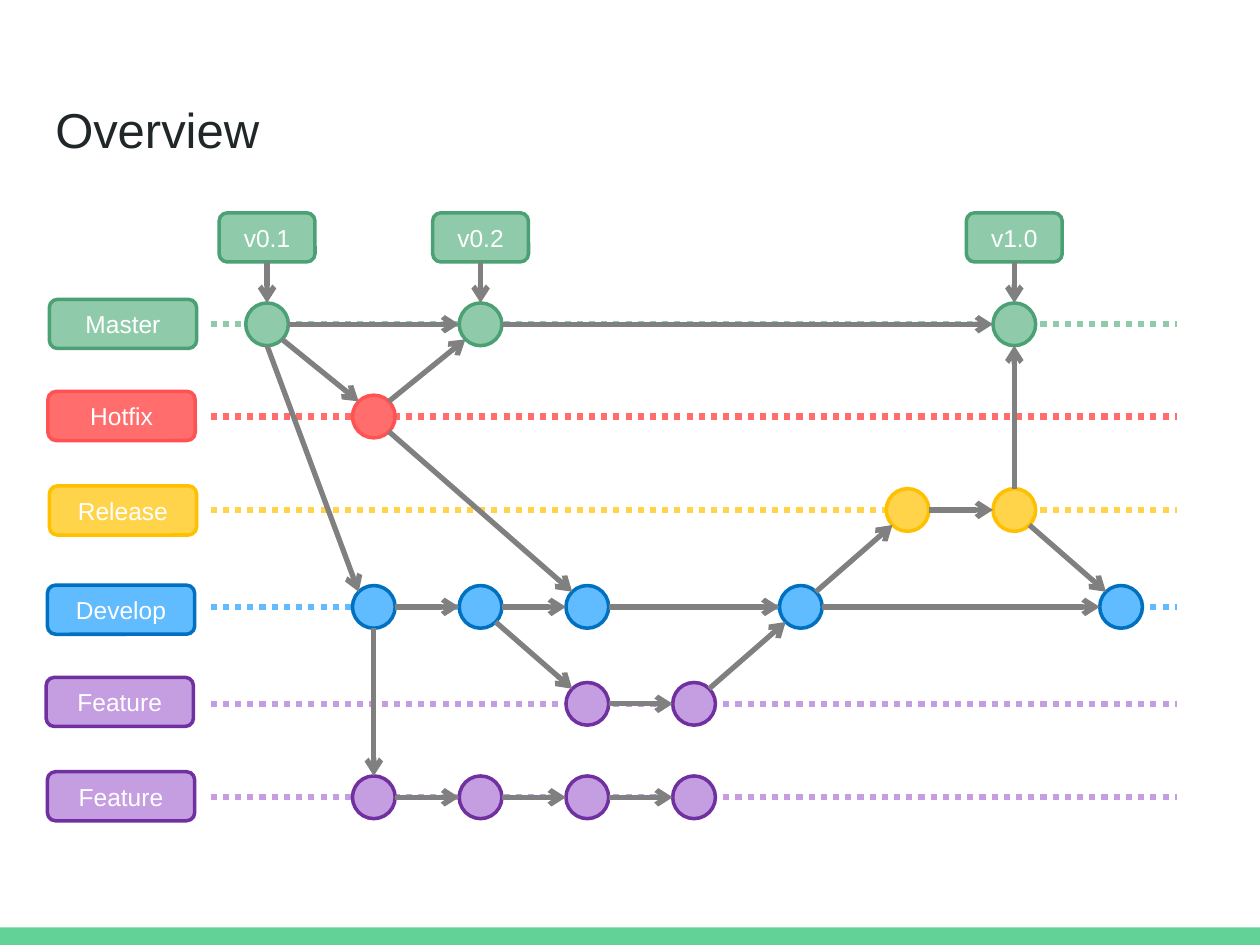
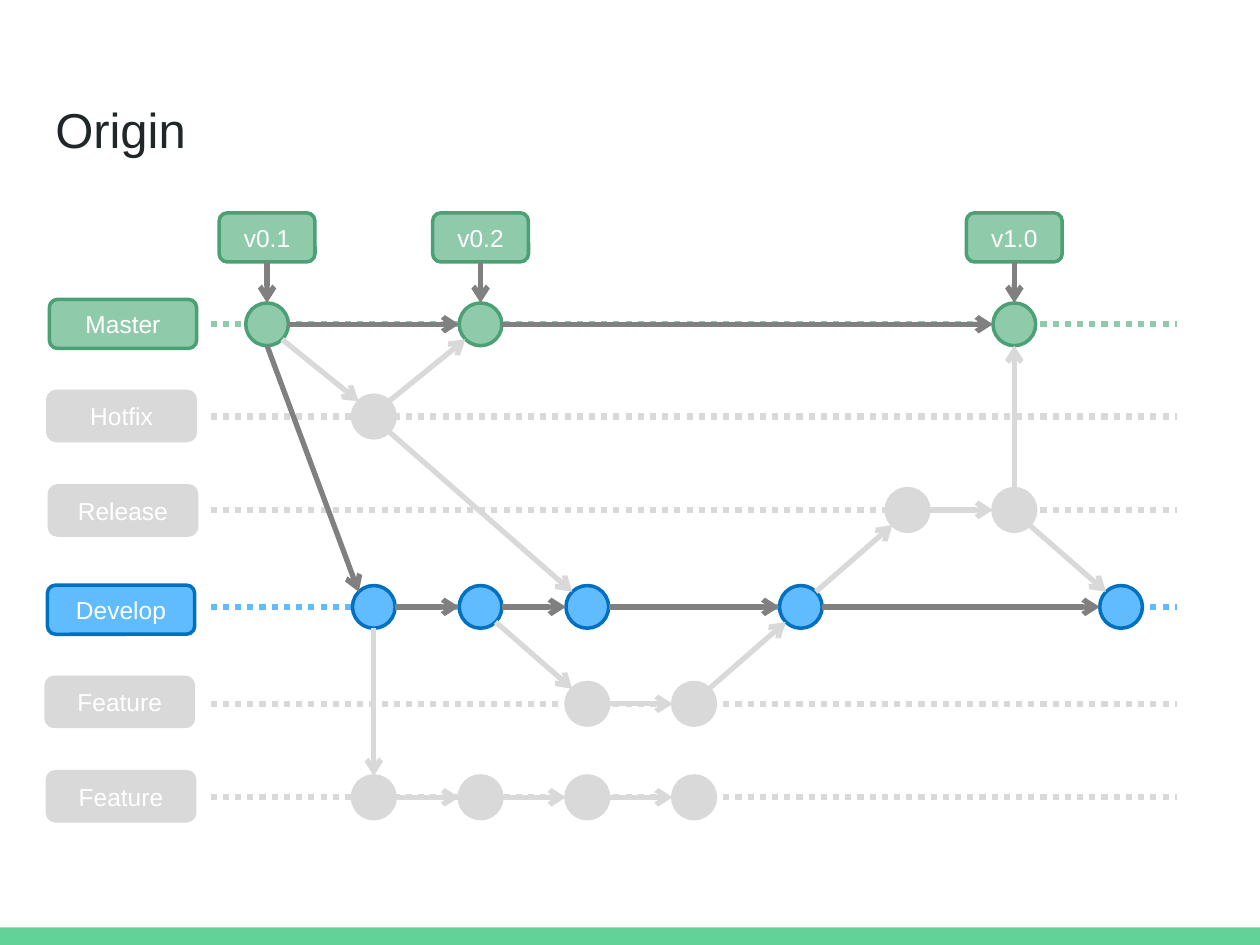
from collections import namedtuple
from math import sqrt

from lxml import etree
from pptx import Presentation
from pptx.dml.color import RGBColor
from pptx.enum import dml, shapes, text
from pptx.oxml.ns import qn
from pptx.util import Pt

# ---- Content ----
Lane = namedtuple("Lane", "label palette y label_left label_y columns")
LANES = {
    "master": Lane("Master", "green", 185.3, 28.2, 185.1, (0, 2, 7)),
    "hotfix": Lane("Hotfix", "red", 238, 27.4, 237.7, (1,)),
    "release": Lane("Release", "yellow", 291.4, 28.2, 291.7, (6, 7)),
    "develop": Lane("Develop", "blue", 346.8, 27.1, 348.4, (1, 2, 3, 5, 8)),
    "feature_a": Lane("Feature", "purple", 402.2, 26.4, 401.1, (3, 4)),
    "feature_b": Lane("Feature", "purple", 455.6, 27.1, 455, (1, 2, 3, 4)),
}
VERSIONS = {0: "v0.1", 2: "v0.2", 7: "v1.0"}  # column on the master lane
BRANCHES_AND_MERGES = [
    (("master", 0), ("hotfix", 1)),
    (("hotfix", 1), ("master", 2)),
    (("master", 0), ("develop", 1)),
    (("develop", 5), ("release", 6)),
    (("release", 7), ("develop", 8)),
    (("develop", 1), ("feature_b", 1)),
    (("develop", 2), ("feature_a", 3)),
    (("feature_a", 4), ("develop", 5)),
    (("hotfix", 1), ("develop", 3)),
    (("release", 7), ("master", 7)),
]
SLIDES = [
    ("Overview", set(LANES)),
    ("Origin", {"master", "develop"}),
]


class Theme:
    font = "Arial"
    title_size, label_size = 28, 14
    title, label, band = "202729", "FFFFFF", "63D297"
    arrow, muted = "808080", "D9D9D9"
    palettes = {  # fill, outline
        "green": ("8FCBAB", "4BA173"),
        "red": ("FF6D6D", "FF5252"),
        "yellow": ("FFD44B", "FFC000"),
        "blue": ("61BBFF", "0070C0"),
        "purple": ("C59EE2", "7030A0"),
    }
    outline_width, arrow_width, track_width = 2, 3, 3.5


# ---- Geometry, in points ----
SLIDE_W, SLIDE_H = 720, 540
BAND_H = 10.1
TITLE_BOX = (24.5, 46.8, 671, 39.6)
FIRST_COLUMN, COLUMN_STEP = 152.6, 61
RADIUS = 12.2
TRACK_LEFT, TRACK_RIGHT = 120.4, 672.6
LABEL_W, TAG_W, BOX_H = 84.2, 54.8, 28.1
TAG_TOP = 121.6


def rgb(value):
    return RGBColor.from_string(value)


def center(commit):
    lane, column = commit
    return FIRST_COLUMN + column * COLUMN_STEP, LANES[lane].y


def sign(number):
    return (number > 0) - (number < 0)


def arrow_ends(start, end):
    """Points on the two circles: along an axis, or at 45 degrees."""
    (x1, y1), (x2, y2) = center(start), center(end)
    dx, dy = x2 - x1, y2 - y1
    steep = abs(dy) > 2 * abs(dx)
    leave = (0 if steep else sign(dx), sign(dy))
    arrive = (-sign(dx), -sign(dy))

    def rim(x, y, direction):
        reach = RADIUS / sqrt(2) if all(direction) else RADIUS
        return x + direction[0] * reach, y + direction[1] * reach

    return rim(x1, y1, leave), rim(x2, y2, arrive)


def write(shape, words, size, color, align=text.PP_ALIGN.CENTER,
          anchor=text.MSO_ANCHOR.MIDDLE, margins=(7.2, 3.6, 7.2, 3.6)):
    frame = shape.text_frame
    frame.word_wrap = True
    frame.vertical_anchor = anchor
    (frame.margin_left, frame.margin_top,
     frame.margin_right, frame.margin_bottom) = map(Pt, margins)
    paragraph = frame.paragraphs[0]
    paragraph.alignment = align
    run = paragraph.add_run()
    run.text = words
    run.font.name, run.font.size = Theme.font, Pt(size)
    run.font.color.rgb = rgb(color)


def add_block(slide, kind, box, fill, outline=None):
    block = slide.shapes.add_shape(kind, *map(Pt, box))
    block.shadow.inherit = False
    block.fill.solid()
    block.fill.fore_color.rgb = rgb(fill)
    if outline:
        block.line.color.rgb = rgb(outline)
        block.line.width = Pt(Theme.outline_width)
    else:
        block.line.fill.background()
    return block


def add_label(slide, words, box, colors):
    label = add_block(slide, shapes.MSO_SHAPE.ROUNDED_RECTANGLE, box, *colors)
    write(label, words, Theme.label_size, Theme.label)
    return label


def add_line(slide, start, end, color, width):
    line = slide.shapes.add_connector(
        shapes.MSO_CONNECTOR.STRAIGHT, *map(Pt, (*start, *end)))
    line.line.color.rgb = rgb(color)
    line.line.width = Pt(width)
    etree.SubElement(line._element.spPr, qn("a:effectLst"))
    return line


def add_arrow(slide, start, end, color):
    arrow = add_line(slide, start, end, color, Theme.arrow_width)
    etree.SubElement(arrow.line._get_or_add_ln(), qn("a:tailEnd"), type="arrow")
    return arrow


def add_frame(slide, title):
    """Draw the bottom band and the title."""
    add_block(slide, shapes.MSO_SHAPE.RECTANGLE,
              (0, SLIDE_H - BAND_H, SLIDE_W, BAND_H), Theme.band)
    heading = slide.shapes.add_textbox(*map(Pt, TITLE_BOX))
    write(heading, title, Theme.title_size, Theme.title,
          align=text.PP_ALIGN.LEFT, anchor=text.MSO_ANCHOR.TOP,
          margins=(7.2, 10, 7.2, 0))


def add_branch_graph(slide, active):
    """Draw all lanes, greying those that are not active."""
    colors = {key: Theme.palettes[lane.palette] if key in active
              else (Theme.muted, Theme.muted) for key, lane in LANES.items()}

    for key, lane in LANES.items():
        track = add_line(slide, (TRACK_LEFT, lane.y), (TRACK_RIGHT, lane.y),
                         colors[key][0], Theme.track_width)
        track.line.dash_style = dml.MSO_LINE.ROUND_DOT

    for key, lane in LANES.items():
        for column in lane.columns:
            x, y = center((key, column))
            add_block(slide, shapes.MSO_SHAPE.OVAL,
                      (x - RADIUS, y - RADIUS, 2 * RADIUS, 2 * RADIUS),
                      *colors[key])

    along_lanes = [((key, first), (key, second))
                   for key, lane in LANES.items()
                   for first, second in zip(lane.columns, lane.columns[1:])]
    for start, end in along_lanes + BRANCHES_AND_MERGES:
        shown = {start[0], end[0]} <= active
        add_arrow(slide, *arrow_ends(start, end),
                  Theme.arrow if shown else Theme.muted)

    for key, lane in LANES.items():
        add_label(slide, lane.label,
                  (lane.label_left, lane.label_y - BOX_H / 2, LABEL_W, BOX_H),
                  colors[key])

    for column, version in VERSIONS.items():
        x, y = center(("master", column))
        tag = add_label(slide, version, (x - TAG_W / 2, TAG_TOP, TAG_W, BOX_H),
                        colors["master"])
        pointer = add_arrow(slide, (x, TAG_TOP + BOX_H), (x, y - RADIUS),
                            Theme.arrow)
        pointer.begin_connect(tag, 2)


def main():
    deck = Presentation()
    deck.slide_width, deck.slide_height = Pt(SLIDE_W), Pt(SLIDE_H)
    for title, active in SLIDES:
        slide = deck.slides.add_slide(deck.slide_layouts[6])
        add_frame(slide, title)
        add_branch_graph(slide, active)
    deck.save("out.pptx")


if __name__ == "__main__":
    main()
